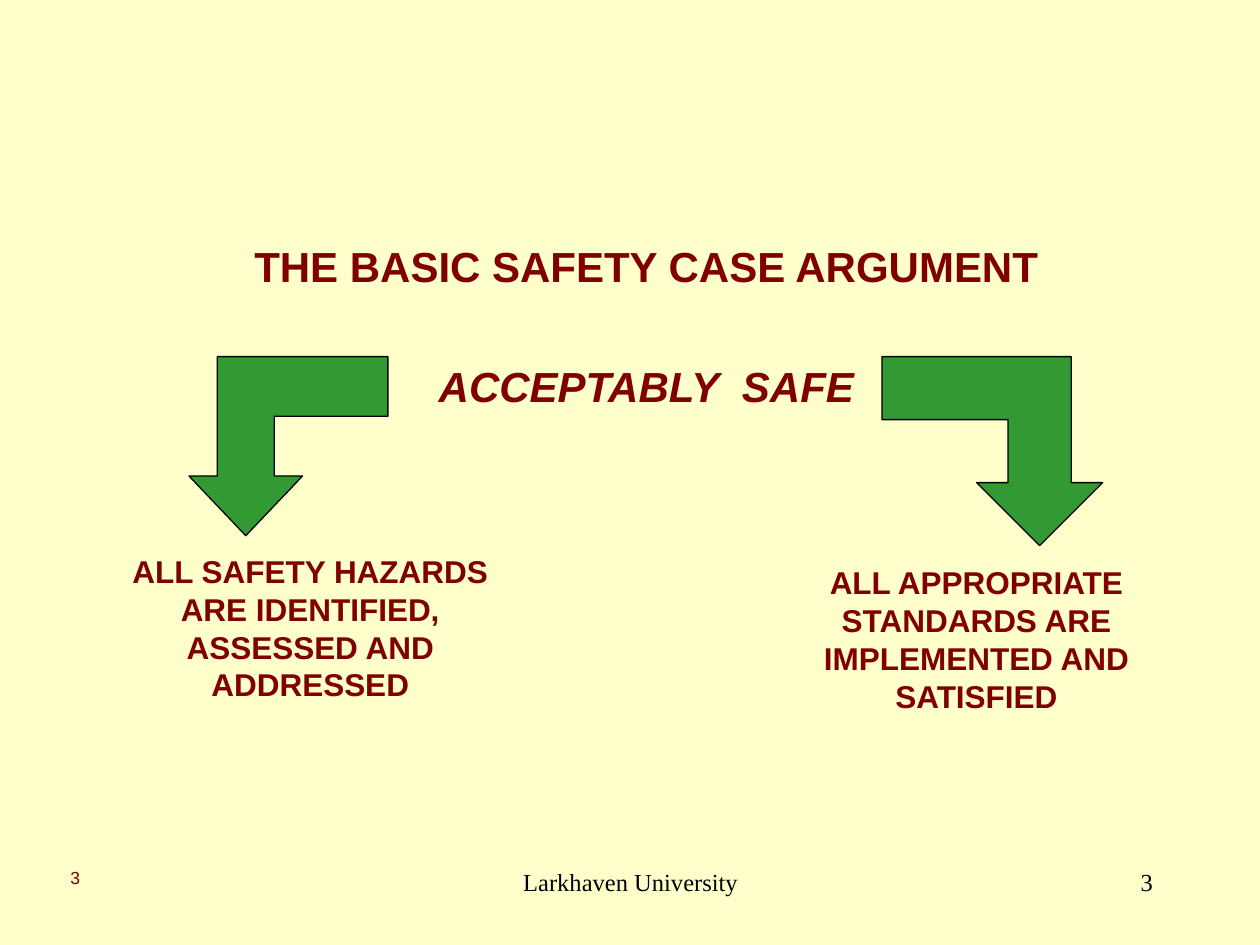
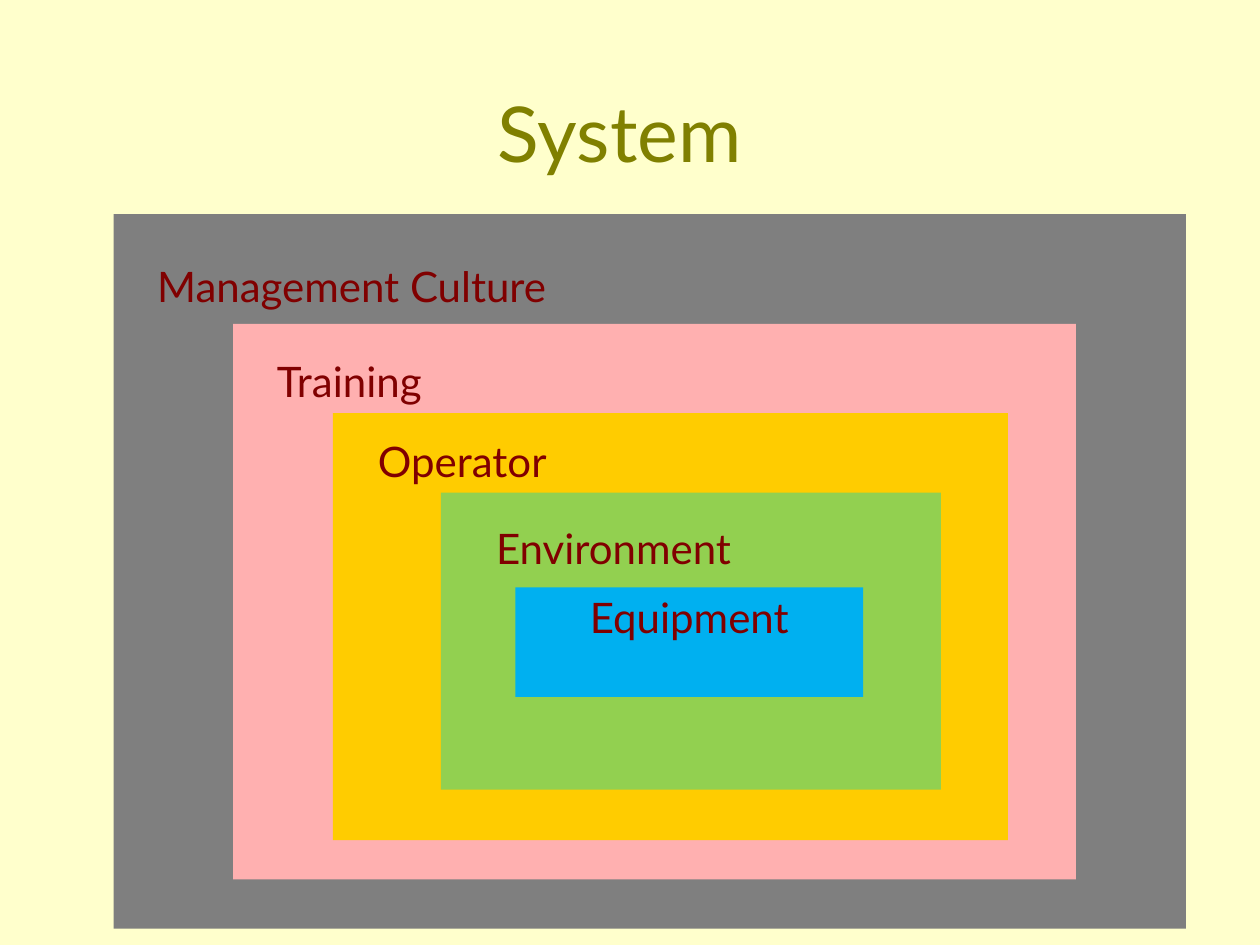
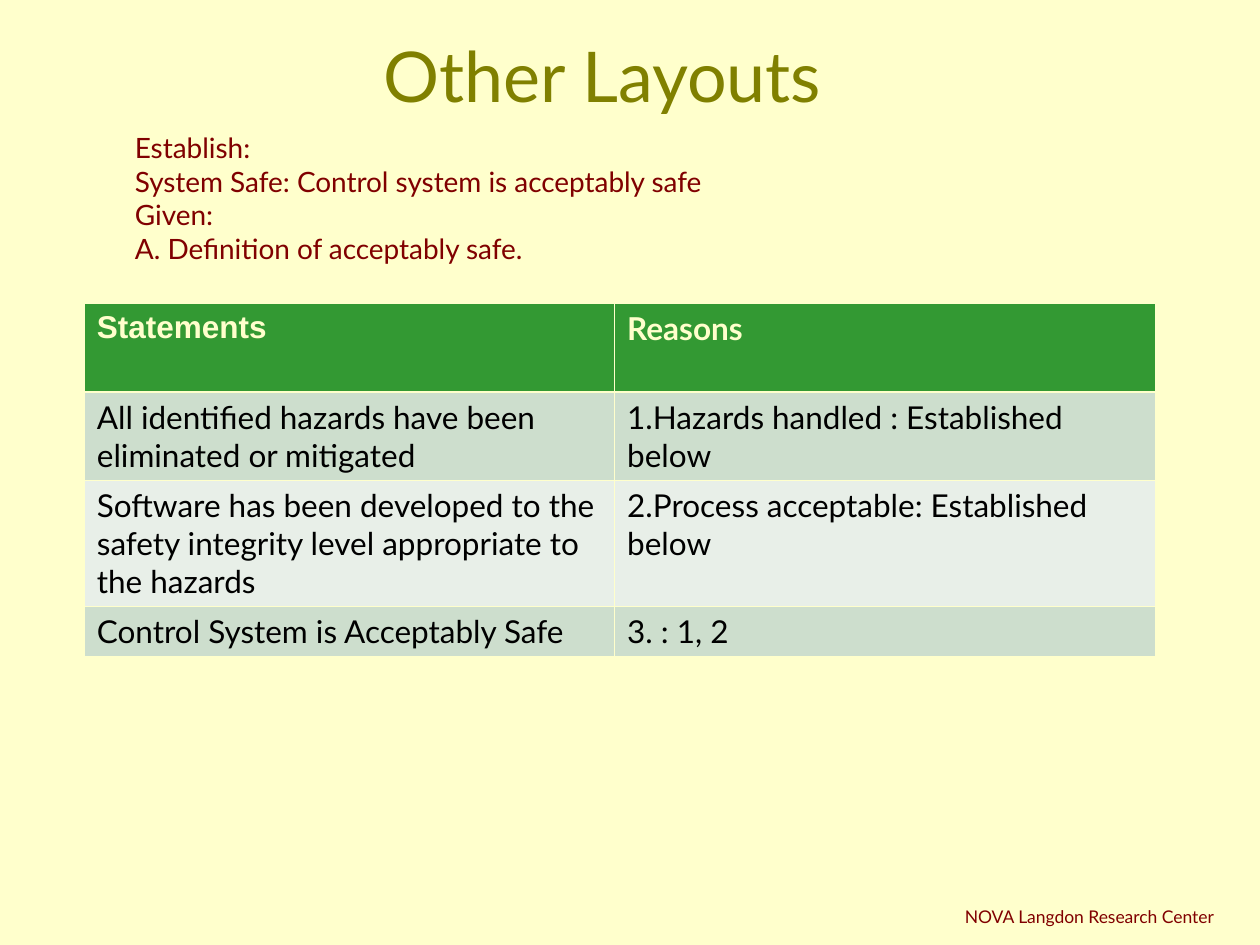
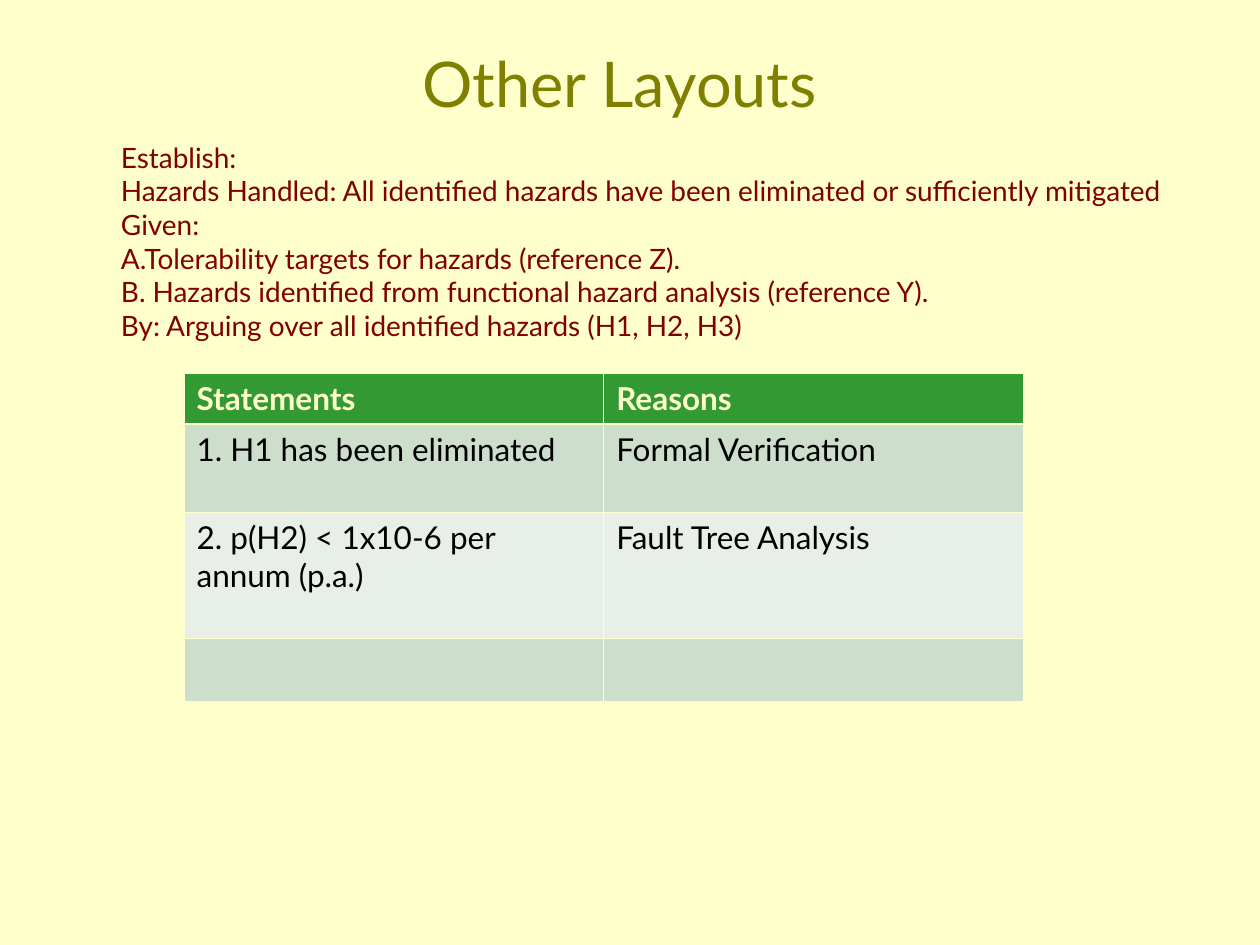
import pptx
import pptx.dml.color
import pptx.enum.shapes
import pptx.enum.text
import pptx.oxml
import pptx.oxml.ns
import pptx.util
from dataclasses import dataclass

Cm, Pt = pptx.util.Cm, pptx.util.Pt
ALIGN = pptx.enum.text.PP_ALIGN
ANCHOR = pptx.enum.text.MSO_ANCHOR


@dataclass(frozen=True)
class Theme:
    paper: str = "FFFFCC"
    ink: str = "800000"
    title: str = "808000"
    black: str = "000000"
    green: str = "339933"
    bands: tuple = ("CDDECD", "E8EFE8")
    body: str = "Lato"
    sans: str = "Arial"
    serif: str = "Times New Roman"
    label_size: int = 24
    cell_size: int = 18
    note_size: int = 16
    footer_size: int = 14
    small_size: int = 10
    inset: tuple = (0.25, 0.13, 0.25, 0.13)
    tight: tuple = (0.05, 0.08, 0, 0.08)
    thin: float = 0.45
    thick: float = 1.47


T = Theme()

# Content: boxes are (left, top, width, height) in centimetres
ARGUMENT = {
    "heading": "THE BASIC SAFETY CASE ARGUMENT",
    "claim": "ACCEPTABLY  SAFE",
    "box": (1.7, 2.74, 22.66, 13.79),
    "branches": [
        # caption, caption box, arrow box, arrow turns left
        ("ALL SAFETY HAZARDS ARE IDENTIFIED, ASSESSED AND ADDRESSED",
         (1.91, 11, 8.69, 3.3), (3.81, 7.19, 4.01, 3.61), True),
        ("ALL APPROPRIATE STANDARDS ARE IMPLEMENTED AND SATISFIED",
         (15.24, 11.23, 8.89, 3.3), (17.78, 7.19, 4.45, 3.81), False),
    ],
    "footer": [
        ("Larkhaven University", (8.69, 17.35, 8.05, 1.27), ALIGN.CENTER),
        ("3", (18.21, 17.35, 5.28, 1.27), ALIGN.RIGHT),
    ],
    "number": ("3", (0.46, 17.35, 2.11, 0.69)),
}

# Bent arrow on a grid 7 units wide and 6 high
ARROW = [(5, 6), (3, 4), (4, 4), (4, 2), (0, 2), (0, 0), (6, 0), (6, 4), (7, 4)]

LAYERS = [
    # fill, box, label, label box (None: inside the layer)
    ("7F7F7F", (2.29, 4.32, 21.62, 14.4), "Management Culture", (2.92, 5.13, 11.38, 1.27)),
    ("FFB0B0", (4.7, 6.53, 16.99, 11.2), "Training", (5.33, 7.04, 8.33, 1.27)),
    ("FFCC00", (6.71, 8.33, 13.61, 8.61), "Operator", (7.37, 8.64, 6.6, 1.27)),
    ("92D050", (8.89, 9.93, 10.08, 5.99), "Environment", (9.75, 10.41, 8.28, 1.27)),
    ("00B0F0", (10.39, 11.84, 7.01, 2.21), "Equipment", None),
]

PROOFS = [
    {
        "title": ("Other Layouts", 1.35, -0.08, 40),
        "notes": ["Establish:",
                  "System Safe: Control system is acceptably safe",
                  "Given:",
                  "A. Definition of acceptably safe."],
        "notes_box": (2.67, 2.54, 12.32, 2.9),
        "credit": ("NOVA Langdon Research Center", (19.2, 18.14, 5.59, 0.69)),
        "at": (1.7, 6.12),
        "cols": (10.69, 10.9),
        "heights": (1.78, 1.78, 2.54, 1.02),
        "head_fonts": (T.sans, T.body),
        "rows": [
            ("Statements", "Reasons"),
            ("All identified hazards have been eliminated or mitigated",
             "1.Hazards handled : Established below"),
            ("Software has been developed to the safety integrity level "
             "appropriate to the hazards",
             "2.Process acceptable: Established below"),
            ("Control System is Acceptably Safe", "3. : 1, 2"),
        ],
    },
    {
        "title": ("Other Layouts", 1.7, 0.08, 36),
        "notes": ["Establish:",
                  "Hazards Handled: All identified hazards have been eliminated "
                  "or sufficiently mitigated",
                  "Given:",
                  "A.Tolerability targets for hazards (reference Z).",
                  "B. Hazards identified from functional hazard analysis (reference Y).",
                  "By: Arguing over all identified hazards (H1, H2, H3)"],
        "notes_box": (2.39, 2.74, 22.73, 4.24),
        "at": (3.71, 7.52),
        "cols": (8.46, 8.46),
        "heights": (1.02, 1.78, 2.54, 1.27),
        "head_fonts": (T.body, T.body),
        "rows": [
            ("Statements", "Reasons"),
            ("1. H1 has been eliminated", "Formal Verification"),
            ("2. p(H2) < 1x10-6 per annum (p.a.)", "Fault Tree Analysis"),
            ("", ""),
        ],
    },
]


# Shared helpers
def rgb(color):
    return pptx.dml.color.RGBColor.from_string(color)


def write(tf, *lines, font=T.body, size=T.label_size, color=T.ink, bold=False,
          align=ALIGN.LEFT, anchor=ANCHOR.TOP, inset=T.inset):
    """Fill a text frame, one paragraph for each line."""
    tf.word_wrap = True
    tf.vertical_anchor = anchor
    tf.margin_left, tf.margin_top, tf.margin_right, tf.margin_bottom = map(Cm, inset)
    for i, line in enumerate(lines):
        p = tf.paragraphs[0] if i == 0 else tf.add_paragraph()
        p.alignment = align
        r = p.add_run()
        r.text = line
        r.font.name, r.font.size, r.font.bold = font, Pt(size), bold
        r.font.color.rgb = rgb(color)
    return tf


def add_text(slide, box, *lines, **fmt):
    return write(slide.shapes.add_textbox(*map(Cm, box)).text_frame, *lines, **fmt)


def add_title(slide, text, left, top, size):
    add_text(slide, (left, top, 21.59, 3.18), text, size=size, color=T.title,
             align=ALIGN.CENTER, anchor=ANCHOR.MIDDLE)


def paint(sp, fill, line=None):
    sp.shadow.inherit = False
    sp.fill.solid()
    sp.fill.fore_color.rgb = rgb(fill)
    if line:
        sp.line.color.rgb, sp.line.width = rgb(line), Pt(0.75)
    else:
        sp.line.fill.background()


def add_arrow(slide, box, turns_left):
    left, top, width, height = box
    pts = [(Cm(left + width * ((7 - x) if turns_left else x) / 7),
            Cm(top + height * y / 6)) for x, y in ARROW]
    fb = slide.shapes.build_freeform(*pts[0])
    fb.add_line_segments(pts[1:], close=True)
    paint(fb.convert_to_shape(), T.green, T.black)


def set_borders(cell, top, bottom):
    tcPr = cell._tc.get_or_add_tcPr()
    for side, width in (("L", T.thin), ("R", T.thin), ("T", top), ("B", bottom)):
        tcPr.append(pptx.oxml.parse_xml(
            f'<a:ln{side} {pptx.oxml.ns.nsdecls("a")} w="{int(Pt(width))}">'
            f'<a:solidFill><a:srgbClr val="{T.paper}"/></a:solidFill></a:ln{side}>'))


def add_proof_table(slide, proof):
    rows, cols, heights = proof["rows"], proof["cols"], proof["heights"]
    box = (*proof["at"], sum(cols), sum(heights))
    table = slide.shapes.add_table(len(rows), len(cols), *map(Cm, box)).table
    for column, width in zip(table.columns, cols):
        column.width = Cm(width)
    for i, (row, height) in enumerate(zip(rows, heights)):
        table.rows[i].height = Cm(height)
        head = i == 0
        for j, text in enumerate(row):
            cell = table.cell(i, j)
            set_borders(cell, T.thick if i == 1 else T.thin, T.thick if head else T.thin)
            cell.fill.solid()
            cell.fill.fore_color.rgb = rgb(T.green if head else T.bands[(i - 1) % 2])
            if text:
                write(cell.text_frame, text, size=T.cell_size, bold=head,
                      font=proof["head_fonts"][j] if head else T.body,
                      color=T.paper if head else T.black)


# Slides
def argument_slide(slide):
    for text, box, align in ARGUMENT["footer"]:
        add_text(slide, box, text, font=T.serif, size=T.footer_size,
                 color=T.black, align=align)
    tf = add_text(slide, ARGUMENT["box"], ARGUMENT["heading"], ARGUMENT["claim"],
                  font=T.sans, bold=True, align=ALIGN.CENTER, inset=(0.25, 2.1, 0.25, 0.13))
    claim = tf.paragraphs[1]
    claim.space_before = Pt(40)
    claim.runs[0].font.italic = True
    text, box = ARGUMENT["number"]
    add_text(slide, box, text, font=T.sans, size=T.small_size, align=ALIGN.CENTER)
    for caption, caption_box, arrow_box, turns_left in ARGUMENT["branches"]:
        add_arrow(slide, arrow_box, turns_left)
        add_text(slide, caption_box, caption, font=T.sans, size=T.cell_size,
                 bold=True, align=ALIGN.CENTER)


def system_slide(slide):
    add_title(slide, "System", 1.7, 1.07, 44)
    for fill, box, label, label_box in LAYERS:
        sp = slide.shapes.add_shape(pptx.enum.shapes.MSO_SHAPE.RECTANGLE, *map(Cm, box))
        paint(sp, fill)
        if label_box:
            add_text(slide, label_box, label)
        else:
            write(sp.text_frame, label, align=ALIGN.CENTER, inset=(0, 0.08, 0, 0.08))


def proof_slide(slide, proof):
    add_title(slide, *proof["title"])
    add_text(slide, proof["notes_box"], *proof["notes"], size=T.note_size,
             anchor=ANCHOR.MIDDLE, inset=T.tight)
    if "credit" in proof:
        text, box = proof["credit"]
        add_text(slide, box, text, size=T.small_size)
    add_proof_table(slide, proof)


def main():
    prs = pptx.Presentation()
    prs.slide_width, prs.slide_height = Cm(25.4), Cm(19.05)
    background = prs.slide_master.background.fill
    background.solid()
    background.fore_color.rgb = rgb(T.paper)

    def new_slide():
        return prs.slides.add_slide(prs.slide_layouts[6])

    argument_slide(new_slide())
    system_slide(new_slide())
    for proof in PROOFS:
        proof_slide(new_slide(), proof)
    prs.save("out.pptx")


if __name__ == "__main__":
    main()
